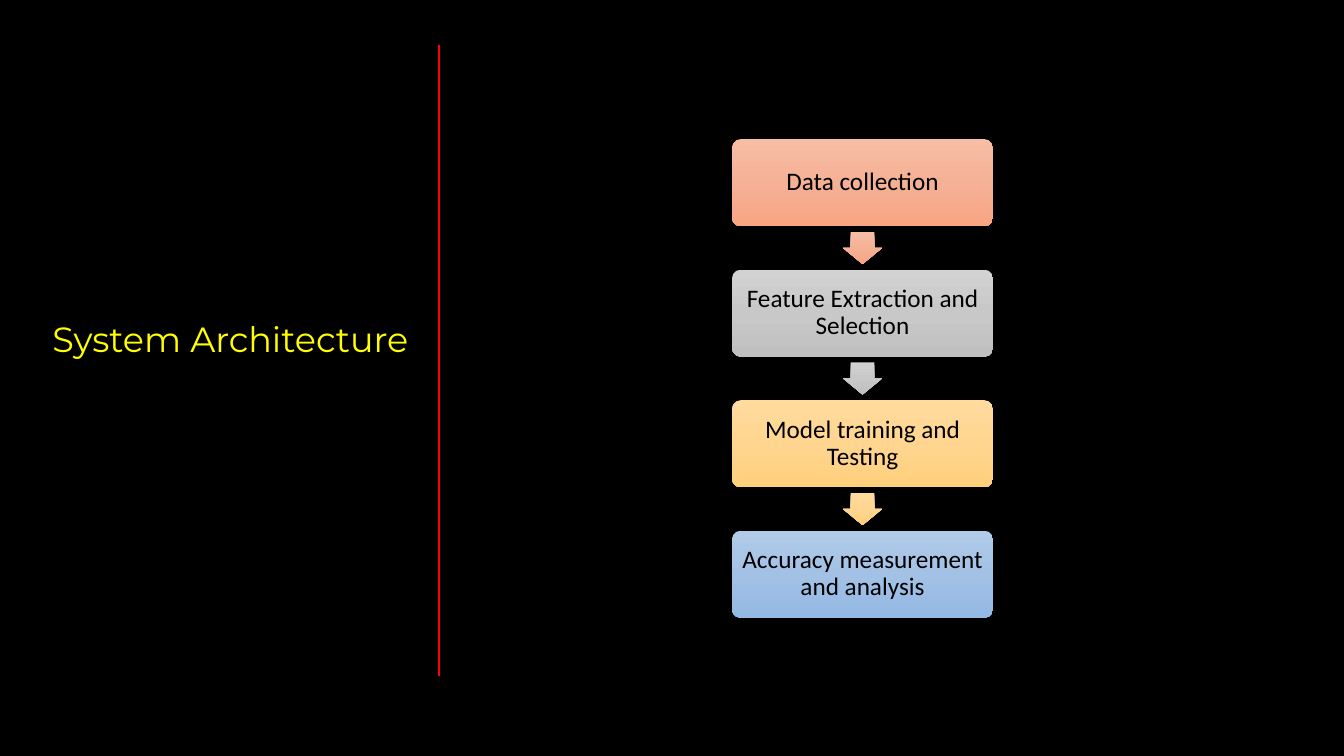
from copy import deepcopy

from pptx import Presentation
from pptx.dml.color import RGBColor
from pptx.enum.shapes import MSO_CONNECTOR, MSO_SHAPE
from pptx.enum.text import MSO_ANCHOR, MSO_AUTO_SIZE, PP_ALIGN
from pptx.oxml.ns import qn
from pptx.oxml.xmlchemy import OxmlElement
from pptx.util import Inches, Pt

COLORS = {
    "background": "000000",
    "title": "FFFF00",
    "divider": "FF0000",
    "text": "000000",
    "orange": ("F7BDA5", "F5B196", "F8A582"),
    "gray": ("D2D2D2", "C8C8C8", "C0C0C0"),
    "gold": ("FFDB9E", "FFD590", "FFD07C"),
    "blue": ("B1CBE9", "A3C1E5", "93B9E4"),
}
STEPS = [
    ("Data collection", "orange"),
    ("Feature Extraction and Selection", "gray"),
    ("Model training and Testing", "gold"),
    ("Accuracy measurement and analysis", "blue"),
]
FLOW_LEFT, FLOW_TOP = 7.26, 1.38
BOX_WIDTH = 2.59
BOX_HEIGHT = BOX_WIDTH / 3
GAP = BOX_HEIGHT / 2
ARROW_WIDTH, ARROW_HEIGHT = 0.39, 0.32


def add_gradient_shape(page, kind, left, top, width, height, color):
    shape = page.shapes.add_shape(
        kind, Inches(left), Inches(top), Inches(width), Inches(height))
    shape.shadow.inherit = False
    shape.line.fill.background()
    shape.fill.gradient()
    shape.fill.gradient_angle = 270
    stops = shape._element.spPr.find(qn("a:gradFill")).find(qn("a:gsLst"))
    middle = deepcopy(stops[0])
    middle.set("pos", "50000")
    stops.insert(1, middle)
    for stop, shade in zip(shape.fill.gradient_stops, COLORS[color]):
        stop.color.rgb = RGBColor.from_string(shade)
    return shape


deck = Presentation()
deck.slide_width, deck.slide_height = Inches(13.33), Inches(7.5)
page = deck.slides.add_slide(deck.slide_layouts[5])
page.background.fill.solid()
page.background.fill.fore_color.rgb = RGBColor.from_string(COLORS["background"])

title = page.shapes.title
title.left, title.top = Inches(0.32), Inches(3.1)
title.width, title.height = Inches(3.93), Inches(0.94)
title.text_frame.text = "System Architecture"
title.text_frame.word_wrap = True
title.text_frame.auto_size = MSO_AUTO_SIZE.NONE
title.text_frame.vertical_anchor = MSO_ANCHOR.TOP
para = title.text_frame.paragraphs[0]
para.alignment = PP_ALIGN.CENTER
para.font.name, para.font.size = "Montserrat", Pt(25)
para.font.color.rgb = RGBColor.from_string(COLORS["title"])

divider = page.shapes.add_connector(
    MSO_CONNECTOR.STRAIGHT, Inches(4.35), Inches(0.45), Inches(4.35), Inches(6.71))
divider.line.color.rgb = RGBColor.from_string(COLORS["divider"])
divider.line.width = Pt(1.5)
divider._element.spPr.append(OxmlElement("a:effectLst"))

for row, (label, color) in enumerate(STEPS):
    top = FLOW_TOP + row * (BOX_HEIGHT + GAP)
    box = add_gradient_shape(
        page, MSO_SHAPE.ROUNDED_RECTANGLE, FLOW_LEFT, top, BOX_WIDTH, BOX_HEIGHT, color)
    box.adjustments[0] = 0.1
    frame = box.text_frame
    frame.text = label
    frame.word_wrap = True
    frame.vertical_anchor = MSO_ANCHOR.MIDDLE
    frame.margin_left = frame.margin_right = Inches(0.07)
    frame.margin_top = frame.margin_bottom = Inches(0.07)
    para = frame.paragraphs[0]
    para.alignment = PP_ALIGN.CENTER
    para.line_spacing = 0.9
    para.font.name, para.font.size = "Calibri", Pt(18)
    para.font.color.rgb = RGBColor.from_string(COLORS["text"])

    if row < len(STEPS) - 1:
        arrow = add_gradient_shape(
            page, MSO_SHAPE.DOWN_ARROW,
            FLOW_LEFT + (BOX_WIDTH - ARROW_WIDTH) / 2,
            top + BOX_HEIGHT + (GAP - ARROW_HEIGHT) / 2,
            ARROW_WIDTH, ARROW_HEIGHT, color)
        arrow.adjustments[0] = 0.6
        arrow.adjustments[1] = 0.5

deck.save("out.pptx")
